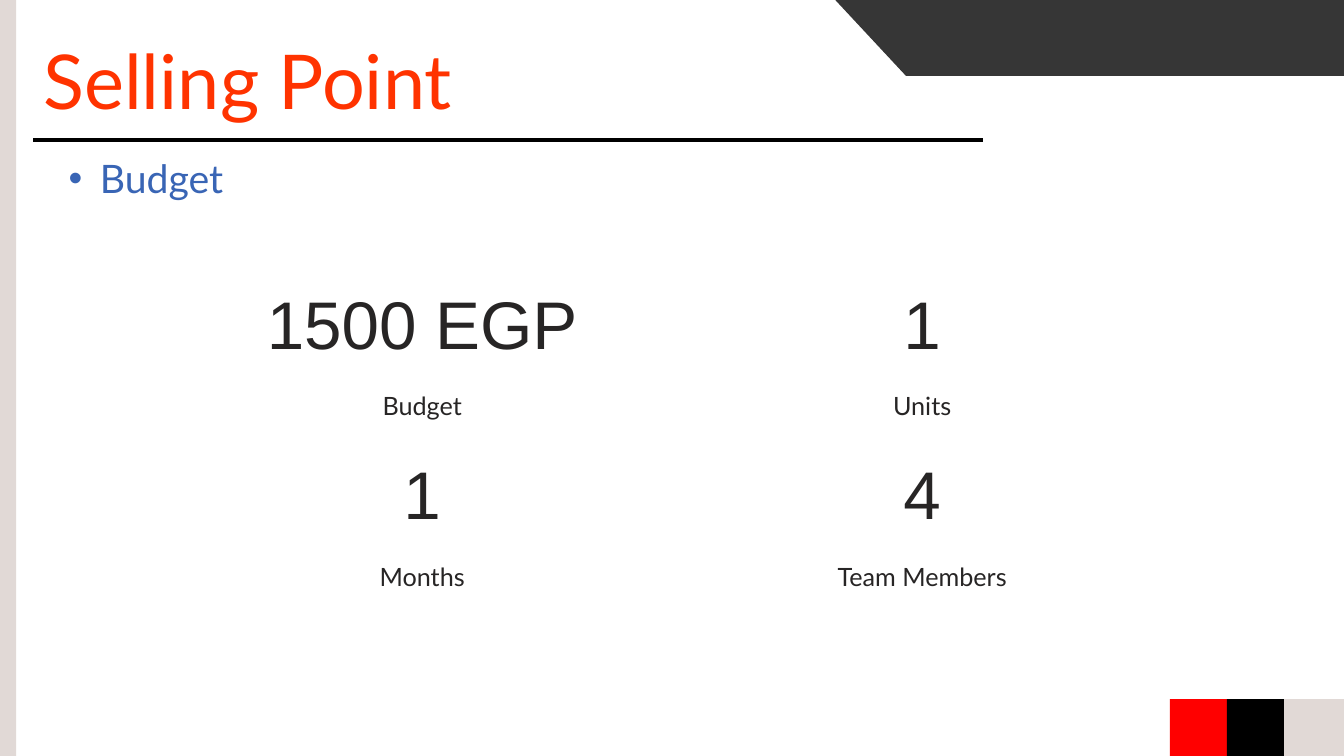
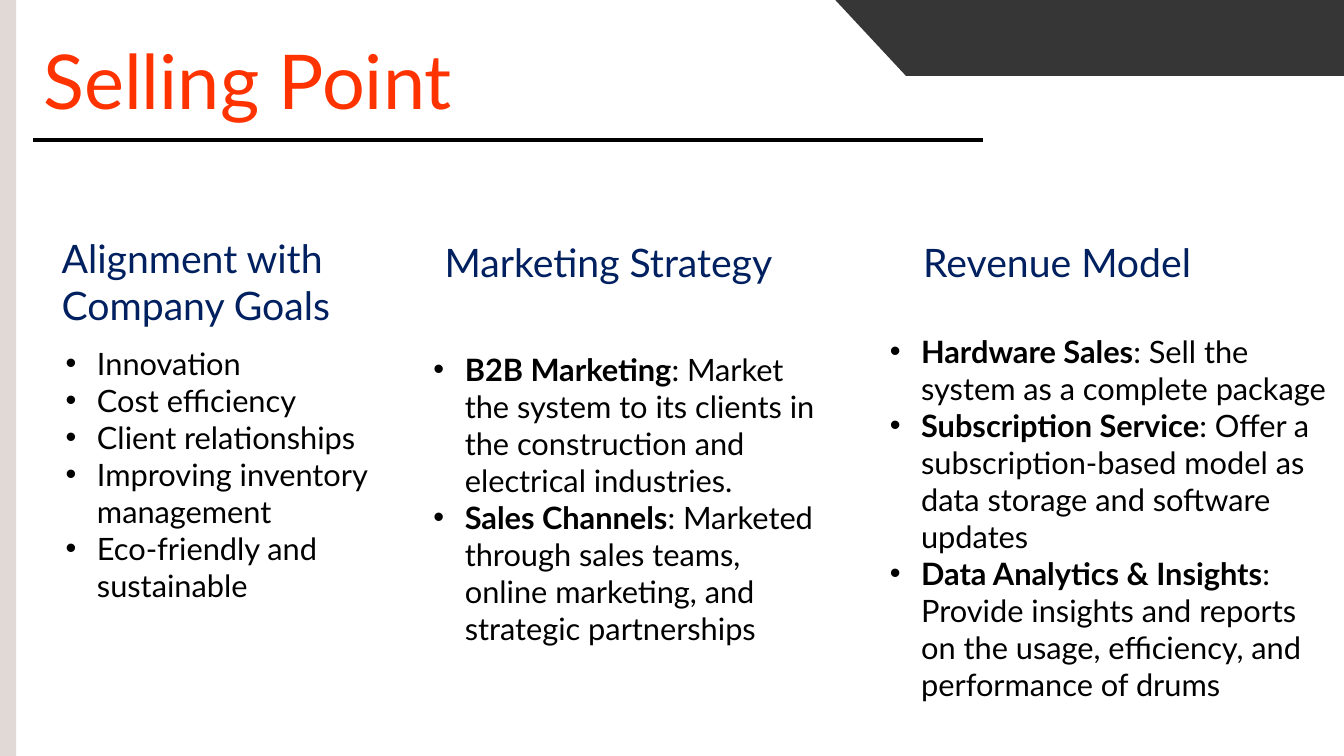
from copy import deepcopy
from itertools import product

from lxml import etree
from pptx import Presentation
from pptx.dml.color import RGBColor
from pptx.enum.shapes import MSO_CONNECTOR, MSO_SHAPE
from pptx.enum.text import MSO_ANCHOR as Anchor, MSO_AUTO_SIZE, PP_ALIGN as Align
from pptx.oxml.ns import qn
from pptx.util import Cm, Pt

TITLE = "Selling Point"
SUBTITLE = "Budget"
STATS = [("1500 EGP", "Budget"), ("1", "Units"), ("1", "Months"), ("4", "Team Members")]
COLUMNS = [
    dict(
        heading="Alignment with Company Goals",
        heading_box=(1.3, 5.77, 7.34, 1.6),
        heading_spacing=1.0,
        points=[
            ("", "Innovation"),
            ("", "Cost efficiency"),
            ("", "Client relationships"),
            ("", "Improving inventory management"),
            ("", "Eco-friendly and sustainable"),
        ],
        points_box=(1.4, 8.56, 9.58, 7.42),
    ),
    dict(
        heading="Marketing Strategy",
        heading_box=(10.95, 6.27, 8.81, 1.6),
        heading_spacing=Pt(22.8),
        points=[
            ("B2B Marketing", ": Market the system to its clients in the construction "
                              "and electrical industries."),
            ("Sales Channels", ": Marketed through sales teams, online marketing, "
                               "and strategic partnerships"),
        ],
        points_box=(10.67, 8.71, 10.11, 7.42),
    ),
    dict(
        heading="Revenue Model",
        heading_box=(23.01, 6.27, 7.62, 1.6),
        heading_spacing=Pt(22.8),
        points=[
            ("Hardware Sales", ": Sell the system as a complete package"),
            ("Subscription Service", ": Offer a subscription-based model as data storage "
                                     "and software updates"),
            ("Data Analytics & Insights", ": Provide insights and reports on the usage, "
                                          "efficiency, and performance of drums"),
        ],
        points_box=(22.17, 8.26, 11.68, 9.42),
    ),
]

WIDTH, HEIGHT = 33.87, 19.05
ORANGE, BLUE, NAVY, INK = "FF3300", "3965B5", "002060", "272525"
BLACK, RED, SAND, CHARCOAL = "000000", "FF0000", "E1D9D6", "363636"
INDENT = 0.79


def color(code):
    return RGBColor.from_string(code)


def place(part, box):
    part.left, part.top, part.width, part.height = map(Cm, box)


def prepare(frame, anchor=Anchor.TOP):
    frame.word_wrap = True
    frame.auto_size = MSO_AUTO_SIZE.NONE
    frame.vertical_anchor = anchor


def style(paragraph, size, code, font="Lato", spacing=1.0, align=Align.LEFT):
    paragraph.alignment = align
    paragraph.line_spacing = spacing
    paragraph.space_before = Pt(0)
    for run in paragraph.runs:
        run.font.name, run.font.size, run.font.bold = font, Pt(size), False
        run.font.color.rgb = color(code)


def add_bullet(paragraph):
    props = paragraph._p.get_or_add_pPr()
    props.set("marL", str(Cm(INDENT)))
    props.set("indent", str(-Cm(INDENT)))
    etree.SubElement(props, qn("a:buFont")).set("typeface", "Arial")
    etree.SubElement(props, qn("a:buChar")).set("char", "•")


def write(part, text, box, size, code, anchor=Anchor.TOP, **look):
    place(part, box)
    prepare(part.text_frame, anchor)
    part.text_frame.text = text
    style(part.text_frame.paragraphs[0], size, code, **look)


def write_points(part, points, box):
    place(part, box)
    frame = part.text_frame
    prepare(frame)
    frame.text = "\n".join(lead or rest for lead, rest in points)
    for paragraph, (lead, rest) in zip(frame.paragraphs, points):
        add_bullet(paragraph)
        if lead:
            paragraph.add_run().text = rest
        style(paragraph, 22, BLACK)
        paragraph.runs[0].font.bold = bool(lead)


def paint(shape, code):
    shape.shadow.inherit = False
    shape.fill.solid()
    shape.fill.fore_color.rgb = color(code)
    shape.line.fill.background()


def add_block(slide, box, code):
    paint(slide.shapes.add_shape(MSO_SHAPE.RECTANGLE, *map(Cm, box)), code)


def new_slide(deck, layout):
    slide = deck.slides.add_slide(layout)
    add_block(slide, (0, 0, 0.41, HEIGHT), SAND)
    corner = [(21.05, 0), (22.83, 1.91), (WIDTH, 1.91), (WIDTH, 0)]
    points = [(Cm(x), Cm(y)) for x, y in corner]
    outline = slide.shapes.build_freeform(*points[0])
    outline.add_line_segments(points[1:], close=True)
    paint(outline.convert_to_shape(), CHARCOAL)
    rule = slide.shapes.add_connector(
        MSO_CONNECTOR.STRAIGHT, Cm(0.84), Cm(3.53), Cm(24.77), Cm(3.53))
    rule.line.color.rgb = color(BLACK)
    rule.line.width = Pt(3)
    etree.SubElement(rule._element.spPr, qn("a:effectLst"))
    write(slide.shapes.title, TITLE, (0.84, 1.4, 12.85, 1.6), 54, ORANGE, spacing=Pt(45.6))
    return slide


def add_third_column(layout):
    bodies = [p for p in layout.placeholders if p.placeholder_format.idx in (3, 4)]
    for number, body in enumerate(bodies, 20):
        twin = deepcopy(body._element)
        twin.find(".//" + qn("p:cNvPr")).set("id", str(number))
        twin.find(".//" + qn("p:ph")).set("idx", str(number))
        layout.shapes._spTree.append(twin)


def build_budget(deck):
    slide = new_slide(deck, deck.slide_layouts[1])
    subtitle = slide.placeholders[1]
    write(subtitle, SUBTITLE, (1.4, 3.81, 12.29, 1.45), 28, BLUE, anchor=Anchor.BOTTOM)
    add_bullet(subtitle.text_frame.paragraphs[0])
    frame = subtitle.text_frame
    frame.margin_left = frame.margin_right = Cm(0.33)
    frame.margin_top = frame.margin_bottom = Cm(0.18)

    for (row, col), (figure, label) in zip(product(range(2), range(2)), STATS):
        left, top = 4.72 + 12.6 * col, 7.32 + 4.29 * row
        write(slide.shapes.add_textbox(0, 0, 0, 0), figure, (left, top, 11.84, 1.7),
              48.1, INK, font="Arial", spacing=Pt(48.1), align=Align.CENTER)
        write(slide.shapes.add_textbox(0, 0, 0, 0), label, (left, top + 2.34, 11.84, 0.81),
              18, INK, spacing=Pt(23.3), align=Align.CENTER)

    for step, (width, code) in enumerate([(1.44, RED), (1.44, BLACK), (1.51, SAND)]):
        add_block(slide, (29.48 + 1.44 * step, 17.62, width, 1.43), code)


def build_strategy(deck):
    layout = deck.slide_layouts[4]
    add_third_column(layout)
    slide = new_slide(deck, layout)
    bodies = [p for p in slide.placeholders if p.placeholder_format.idx > 0]
    for column, heading, points in zip(COLUMNS, bodies[::2], bodies[1::2]):
        write(heading, column["heading"], column["heading_box"], 28, NAVY,
              spacing=column["heading_spacing"])
        write_points(points, column["points"], column["points_box"])


def main():
    deck = Presentation()
    deck.slide_width, deck.slide_height = Cm(WIDTH), Cm(HEIGHT)
    build_budget(deck)
    build_strategy(deck)
    deck.save("out.pptx")


if __name__ == "__main__":
    main()
